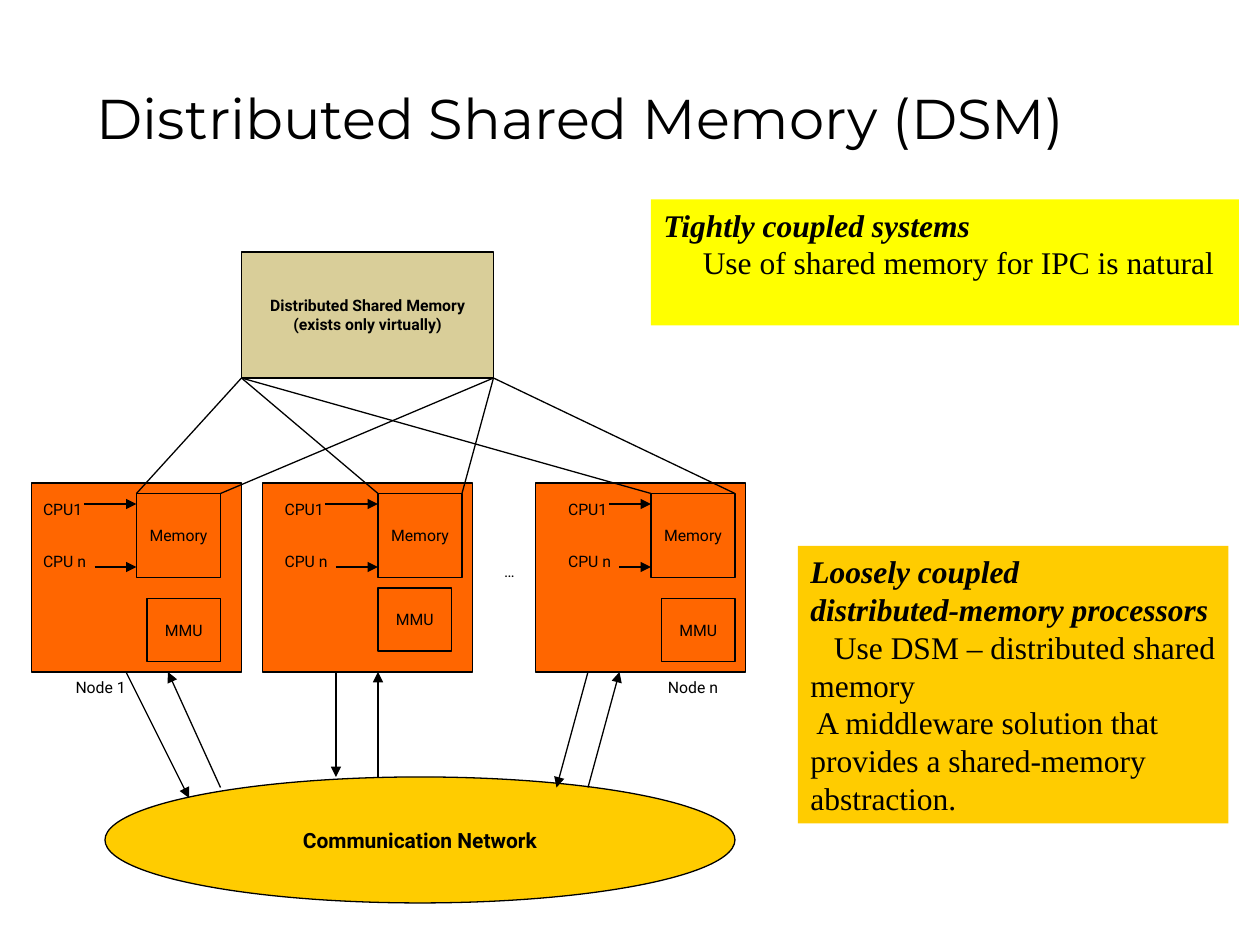
from typing import NamedTuple

from lxml import etree
from pptx import Presentation
from pptx import util as u
from pptx.dml import color
from pptx.enum import shapes, text
from pptx.oxml import ns

BLACK, ORANGE, GOLD, SAND, YELLOW = "000000", "FF6600", "FFCC00", "D9CE99", "FFFF00"
RECT, OVAL = shapes.MSO_SHAPE.RECTANGLE, shapes.MSO_SHAPE.OVAL
LEFT, CENTER = text.PP_ALIGN.LEFT, text.PP_ALIGN.CENTER

NODE_TOP, NODE_WIDTH, NODE_HEIGHT = 276, 120, 108
NODE_BOTTOM = NODE_TOP + NODE_HEIGHT
MEMORY_TOP, MEMORY_SIZE = 282, 48


class Frame(NamedTuple):
    left: float
    top: float
    width: float
    height: float


class Line(NamedTuple):
    text: str
    strong: bool = False
    indent: float = 0


class Node(NamedTuple):
    left: float
    wire: float  # start of the upper CPU arrow
    memory: float
    mmu: float
    mmu_top: float


class Link(NamedTuple):
    x1: float
    y1: float
    x2: float
    y2: float


NODES = [
    Node(18, 48, 78, 84, 342),
    Node(150, 186, 216, 216, 336),
    Node(306, 348, 372, 378, 342),
]
NETWORK_LINKS = [
    Link(72, NODE_BOTTOM, 108, 456),
    Link(126, 450, 96, NODE_BOTTOM),
    Link(192, NODE_BOTTOM, 192, 444),
    Link(216, 444, 216, NODE_BOTTOM),
    Link(336, NODE_BOTTOM, 318, 450),
    Link(336, 450, 354, NODE_BOTTOM),
]


def rgb(value: str) -> color.RGBColor:
    return color.RGBColor.from_string(value)


def style(font, name: str, size: float, bold: bool = False, italic: bool = False) -> None:
    font.name, font.size = name, u.Pt(size)
    font.bold, font.italic = bold, italic
    font.color.rgb = rgb(BLACK)


def add_box(slide, kind, frame: Frame, fill: str, outlined: bool = True):
    box = slide.shapes.add_shape(kind, *map(u.Pt, frame))
    box.shadow.inherit = False
    box.fill.solid()
    box.fill.fore_color.rgb = rgb(fill)
    if outlined:
        box.line.color.rgb = rgb(BLACK)
        box.line.width = u.Pt(0.75)
    else:
        box.line.fill.background()
    return box


def write(box, lines: list[str], size: float = 9, bold: bool = False, align=CENTER) -> None:
    box.text_frame.word_wrap = False
    box.text_frame.text = "\n".join(lines)
    for para in box.text_frame.paragraphs:
        para.alignment = align
        style(para.font, "Roboto", size, bold)


def add_label(slide, words: str, frame: Frame, align=LEFT) -> None:
    box = slide.shapes.add_textbox(*map(u.Pt, frame))
    write(box, [words], align=align)


def add_line(slide, link: Link, arrow: bool = False) -> None:
    line = slide.shapes.add_connector(shapes.MSO_CONNECTOR.STRAIGHT, *map(u.Pt, link))
    line.line.color.rgb = rgb(BLACK)
    line.line.width = u.Pt(0.75)
    if arrow:
        outline = line.line._get_or_add_ln()
        etree.SubElement(outline, ns.qn("a:tailEnd"), type="triangle")
    etree.SubElement(line._element.spPr, ns.qn("a:effectLst"))


def add_note(slide, frame: Frame, fill: str, lines: list[Line]) -> None:
    box = add_box(slide, RECT, frame, fill, outlined=False)
    body = box.text_frame
    body.word_wrap = True
    body.vertical_anchor = text.MSO_ANCHOR.TOP
    body.text = "\n".join(line.text for line in lines)
    for para, line in zip(body.paragraphs, lines):
        para.alignment = LEFT
        para._p.get_or_add_pPr().set("indent", str(u.Pt(line.indent)))
        style(para.font, "Times New Roman", 18, line.strong, line.strong)


def add_node(slide, node: Node) -> None:
    add_box(slide, RECT, Frame(node.left, NODE_TOP, NODE_WIDTH, NODE_HEIGHT), ORANGE)
    memory = add_box(slide, RECT, Frame(node.memory, MEMORY_TOP, MEMORY_SIZE, MEMORY_SIZE), ORANGE)
    write(memory, ["Memory"])
    mmu = add_box(slide, RECT, Frame(node.mmu, node.mmu_top, 42, 36), ORANGE)
    write(mmu, ["MMU"])
    for words, top, start, y in (("CPU1", 282, node.wire, 288), ("CPU n", 312, node.wire + 6, 324)):
        add_label(slide, words, Frame(node.wire - 30.5, top, 40, 18))
        add_line(slide, Link(start, y, node.memory, y), arrow=True)


def main() -> None:
    deck = Presentation()
    deck.slide_width, deck.slide_height = u.Pt(720), u.Pt(540)
    page = deck.slides.add_slide(deck.slide_layouts[5])

    # Title
    title = page.shapes.title
    title.left, title.top, title.width, title.height = map(u.Pt, (48, 0, 613, 90))
    title.text_frame.text = "Distributed Shared Memory (DSM)"
    title.text_frame.auto_size = text.MSO_AUTO_SIZE.NONE
    title.text_frame.vertical_anchor = text.MSO_ANCHOR.BOTTOM
    heading = title.text_frame.paragraphs[0]
    heading.alignment = LEFT
    style(heading.font, "Montserrat", 32)

    # Nodes and their captions
    for node in NODES:
        add_node(page, node)
    add_label(page, "…", Frame(281, 317.5, 21.5, 18))
    add_label(page, "Node 1", Frame(35, NODE_BOTTOM, 45, 18), CENTER)
    add_label(page, "Node n", Frame(373.5, NODE_BOTTOM, 45, 18), CENTER)

    # Network below the nodes
    network = add_box(page, OVAL, Frame(60, 444, 360, 72), GOLD)
    write(network, ["Communication Network"], 12, bold=True)
    for link in NETWORK_LINKS:
        add_line(page, link, arrow=True)

    # Virtual memory, spread over each node's memory
    shared = Frame(138, 144, 144, 72)
    virtual = add_box(page, RECT, shared, SAND)
    write(virtual, ["Distributed Shared Memory", "(exists only virtually)"], bold=True)
    bottom = shared.top + shared.height
    for node in NODES:
        add_line(page, Link(shared.left, bottom, node.memory, MEMORY_TOP))
        add_line(page, Link(shared.left + shared.width, bottom, node.memory + MEMORY_SIZE, MEMORY_TOP))

    # Notes
    add_note(page, Frame(372, 114, 336, 72), YELLOW, [
        Line("Tightly coupled systems", strong=True),
        Line("Use of shared memory for IPC is natural", indent=22.5),
    ])
    add_note(page, Frame(456, 312, 246, 158.5), GOLD, [
        Line("Loosely coupled", strong=True),
        Line("distributed-memory processors", strong=True),
        Line("Use DSM – distributed shared memory", indent=13.5),
        Line("A middleware solution that provides a shared-memory abstraction.", indent=3.5),
    ])

    deck.save("out.pptx")


if __name__ == "__main__":
    main()
